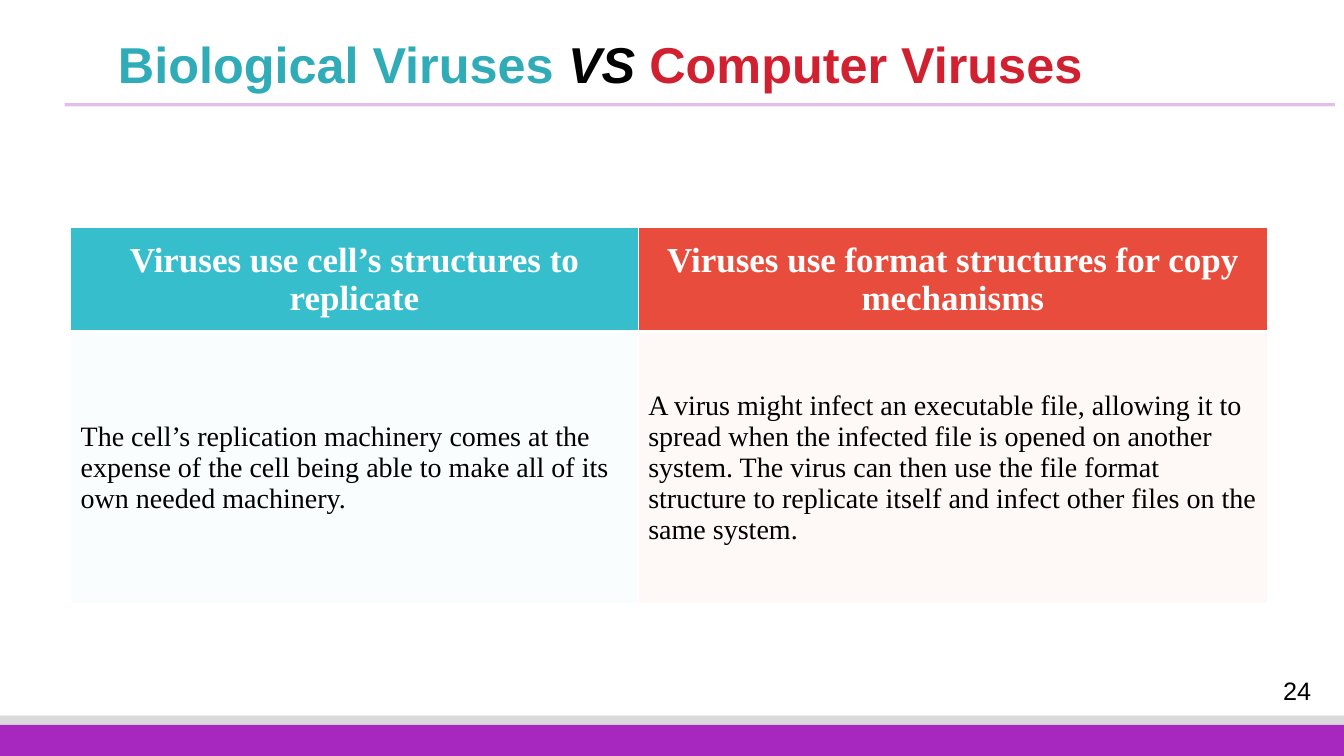
from lxml import etree
from pptx import Presentation
from pptx import util as u
from pptx.dml.color import RGBColor
from pptx.enum import shapes, text
from pptx.oxml import ns

BLACK = RGBColor(0x00, 0x00, 0x00)
WHITE = RGBColor(0xFF, 0xFF, 0xFF)
GREY = RGBColor(0xD9, 0xD9, 0xD9)
PURPLE = RGBColor(0xA7, 0x28, 0xBE)
TEAL = RGBColor(0x2F, 0xAC, 0xB7)
RED = RGBColor(0xD1, 0x20, 0x2F)
HEADER_FILLS = RGBColor(0x37, 0xBE, 0xCC), RGBColor(0xE7, 0x4C, 0x3C)
BODY_FILLS = RGBColor(0xF8, 0xFD, 0xFD), RGBColor(0xFE, 0xF6, 0xF5)


def set_alpha(element, percent):
    color = next(element.iter(ns.qn("a:srgbClr")))
    etree.SubElement(color, ns.qn("a:alpha"), val=str(percent * 1000))


def set_borders(cell, widths):
    properties = cell._tc.get_or_add_tcPr()
    for index, (side, width) in enumerate(zip("LRTB", widths)):
        line = etree.Element(ns.qn(f"a:ln{side}"), w=str(u.Pt(width)))
        fill = etree.SubElement(line, ns.qn("a:solidFill"))
        etree.SubElement(fill, ns.qn("a:srgbClr"), val=str(WHITE))
        properties.insert(index, line)


presentation = Presentation()
presentation.slide_width = u.Inches(13.33)
presentation.slide_height = u.Inches(7.5)
slide = presentation.slides.add_slide(presentation.slide_layouts[5])

for height, color in ((0.4, GREY), (0.31, PURPLE)):
    band = slide.shapes.add_shape(
        shapes.MSO_SHAPE.RECTANGLE, 0, presentation.slide_height - u.Inches(height),
        presentation.slide_width, u.Inches(height))
    band.shadow.inherit = False
    band.fill.solid()
    band.fill.fore_color.rgb = color
    band.line.fill.background()

rule = slide.shapes.add_connector(
    shapes.MSO_CONNECTOR.STRAIGHT, u.Inches(0.64), u.Inches(1.04), u.Inches(13.24), u.Inches(1.04))
rule.line.color.rgb = PURPLE
rule.line.width = u.Pt(2.25)
set_alpha(rule.line._ln, 30)
etree.SubElement(rule._element.spPr, ns.qn("a:effectLst"))

title = slide.shapes.title
title.left, title.top = u.Inches(1.07), u.Inches(0.35)
title.width, title.height = u.Inches(11.37), u.Inches(0.48)
title.text_frame.auto_size = text.MSO_AUTO_SIZE.NONE
title.text_frame.vertical_anchor = text.MSO_ANCHOR.TOP
paragraph = title.text_frame.paragraphs[0]
paragraph.alignment = text.PP_ALIGN.LEFT
paragraph.line_spacing = 0.9
paragraph.space_before = u.Pt(0)
paragraph.font.name = "Arial"
paragraph.font.size = u.Pt(36)
paragraph.font.bold = True
for words, color, italic in (
    ("Biological Viruses ", TEAL, False),
    ("VS", BLACK, True),
    (" Computer Viruses", RED, False),
):
    run = paragraph.add_run()
    run.text = words
    run.font.color.rgb = color
    run.font.italic = italic

table = slide.shapes.add_table(
    2, 2, u.Inches(0.7), u.Inches(2.26), u.Inches(11.87), u.Inches(3.73)).table
for column, width in zip(table.columns, (5.63, 6.24)):
    column.width = u.Inches(width)

rows = (
    (1.03, 25, True, WHITE, text.PP_ALIGN.CENTER, HEADER_FILLS, (1, 1, 1, 3), (
        "Viruses use cell’s structures to replicate",
        "Viruses use format structures for copy mechanisms")),
    (2.7, 20, False, BLACK, text.PP_ALIGN.LEFT, BODY_FILLS, (1, 1, 3, 1), (
        "The cell’s replication machinery comes at the expense of the cell being able "
        "to make all of its own needed machinery.",
        "A virus might infect an executable file, allowing it to spread when the infected "
        "file is opened on another system. The virus can then use the file format structure "
        "to replicate itself and infect other files on the same system.")),
)
for row, (height, size, bold, color, alignment, fills, borders, words) in zip(table.rows, rows):
    row.height = u.Inches(height)
    for cell, fill, content in zip(row.cells, fills, words):
        cell.text = content
        cell.vertical_anchor = text.MSO_ANCHOR.MIDDLE
        cell.fill.solid()
        cell.fill.fore_color.rgb = fill
        if fills is BODY_FILLS:
            set_alpha(cell._tc.tcPr, 70)
        set_borders(cell, borders)
        paragraph = cell.text_frame.paragraphs[0]
        paragraph.alignment = alignment
        paragraph.font.name = "Times New Roman"
        paragraph.font.size = u.Pt(size)
        paragraph.font.bold = bold
        paragraph.font.color.rgb = color

number = slide.shapes.add_textbox(u.Inches(12.41), u.Inches(6.65), u.Inches(0.91), u.Inches(0.39))
number.text_frame.word_wrap = True
number.text_frame.vertical_anchor = text.MSO_ANCHOR.MIDDLE
paragraph = number.text_frame.paragraphs[0]
paragraph.text = "24"
paragraph.alignment = text.PP_ALIGN.CENTER
paragraph.font.name = "Arial"
paragraph.font.size = u.Pt(18)
paragraph.font.color.rgb = BLACK

presentation.save("out.pptx")
